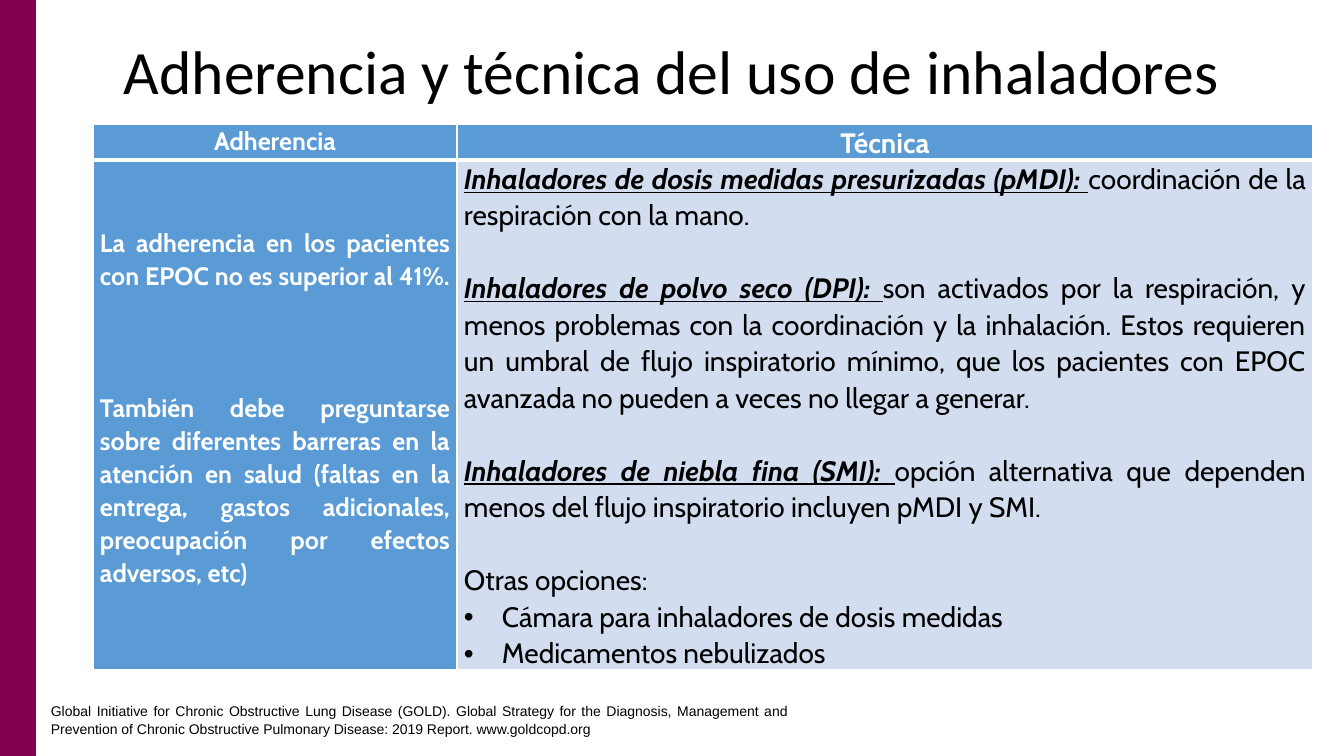
from dataclasses import dataclass, field

from lxml.etree import SubElement
from pptx import Presentation
from pptx.dml.color import RGBColor
from pptx.enum.shapes import MSO_SHAPE
from pptx.enum.text import MSO_ANCHOR, PP_ALIGN
from pptx.oxml import parse_xml
from pptx.oxml.ns import nsdecls, qn
from pptx.util import Emu, Pt

EMU_PER_PX = 914400 / 100.8


@dataclass(frozen=True)
class Theme:
    band: str = "830051"
    header: str = "5B9BD5"
    body: str = "D2DEEF"
    white: str = "FFFFFF"
    black: str = "000000"
    title_size: int = 44
    large_size: int = 20
    medium_size: int = 18
    source_size: int = 10
    title_font: str = "Calibri"
    table_font: str = "Cabin"
    source_font: str = "Arial"


THEME = Theme()
LEAD = {"bold": True, "italic": True, "underline": True}
BOLD = {"bold": True}
PLAIN = {"bold": False}


@dataclass(frozen=True)
class TextRun:
    text: str
    style: dict = field(default_factory=dict)


@dataclass(frozen=True)
class TextParagraph:
    runs: list[TextRun]
    alignment: PP_ALIGN = PP_ALIGN.JUSTIFY
    space_before: int = 0
    line_spacing: float = 1.07
    bullet: bool = False


@dataclass(frozen=True)
class TextLook:
    font: str
    size: int
    color: str = THEME.black


@dataclass(frozen=True)
class TableCell:
    row: int
    column: int
    fill: str
    look: TextLook
    paragraphs: list[TextParagraph]
    margin_top: int = 0


WHITE_MEDIUM = TextLook(THEME.table_font, THEME.medium_size, THEME.white)
WHITE_LARGE = TextLook(THEME.table_font, THEME.large_size, THEME.white)
BLACK_LARGE = TextLook(THEME.table_font, THEME.large_size)


def header(text: str) -> list[TextParagraph]:
    return [TextParagraph([TextRun(text, BOLD)], PP_ALIGN.CENTER)]


def inhaler(name: str, description: str, space_before: int = 26) -> TextParagraph:
    runs = [TextRun(name + ": ", LEAD), TextRun(description, PLAIN)]
    return TextParagraph(runs, space_before=space_before)


def option(text: str) -> TextParagraph:
    return TextParagraph([TextRun(text, PLAIN)], bullet=True)


CELLS = [
    TableCell(0, 0, THEME.header, WHITE_MEDIUM, header("Adherencia")),
    TableCell(0, 1, THEME.header, WHITE_LARGE, header("Técnica")),
    TableCell(1, 0, THEME.header, WHITE_MEDIUM, [
        TextParagraph([TextRun(
            "La adherencia en los pacientes con EPOC no es superior al 41%. ", BOLD)]),
        TextParagraph([TextRun(
            "También debe preguntarse sobre diferentes barreras en la atención en salud "
            "(faltas en la entrega, gastos adicionales, preocupación por efectos adversos, "
            "etc)", BOLD)], space_before=71),
    ], margin_top=66),
    TableCell(1, 1, THEME.body, BLACK_LARGE, [
        inhaler("Inhaladores de dosis medidas presurizadas (pMDI)",
                "coordinación de la respiración con la mano.", space_before=0),
        inhaler("Inhaladores de polvo seco (DPI)",
                "son activados por la respiración, y menos problemas con la coordinación y la "
                "inhalación. Estos requieren un umbral de flujo inspiratorio mínimo, que los "
                "pacientes con EPOC avanzada no pueden a veces no llegar a generar."),
        inhaler("Inhaladores de niebla fina (SMI)",
                "opción alternativa que dependen menos del flujo inspiratorio incluyen pMDI y "
                "SMI."),
        TextParagraph([TextRun("Otras opciones:", PLAIN)], space_before=26),
        option("Cámara para inhaladores de dosis medidas"),
        option("Medicamentos nebulizados"),
    ]),
]


def px(length: int) -> Emu:
    return Emu(round(length * EMU_PER_PX))


def set_attributes(target, values: dict) -> None:
    for name, value in values.items():
        setattr(target, name, value)


def add_bullet(paragraph) -> None:
    properties = paragraph._p.get_or_add_pPr()
    properties.set("marL", str(px(38)))
    properties.set("indent", str(px(-38)))
    SubElement(properties, qn("a:buFont")).set("typeface", "Arial")
    SubElement(properties, qn("a:buChar")).set("char", "•")


def write_text(text_frame, look: TextLook, paragraphs: list[TextParagraph]) -> None:
    for index, content in enumerate(paragraphs):
        paragraph = text_frame.add_paragraph() if index else text_frame.paragraphs[0]
        set_attributes(paragraph, {
            "alignment": content.alignment,
            "line_spacing": content.line_spacing,
            "space_before": Pt(content.space_before),
        })
        if content.bullet:
            add_bullet(paragraph)
        for text_run in content.runs:
            run = paragraph.add_run()
            run.text = text_run.text
            set_attributes(run.font, {
                "name": look.font, "size": Pt(look.size), **text_run.style})
            run.font.color.rgb = RGBColor.from_string(look.color)


def add_text(slide, box: tuple[int, int, int, int], look: TextLook,
             paragraph: TextParagraph, anchor: MSO_ANCHOR) -> None:
    text_frame = slide.shapes.add_textbox(*map(px, box)).text_frame
    set_attributes(text_frame, {"word_wrap": True, "vertical_anchor": anchor})
    write_text(text_frame, look, [paragraph])


def add_borders(cell, widths: dict[str, int]) -> None:
    """Put white border lines, in points, ahead of the cell fill."""
    properties = cell._tc.get_or_add_tcPr()
    for position, (side, width) in enumerate(widths.items()):
        properties.insert(position, parse_xml(
            f'<a:ln{side} {nsdecls("a")} w="{Pt(width)}"><a:solidFill>'
            f'<a:srgbClr val="{THEME.white}"/></a:solidFill></a:ln{side}>'))


def add_inhaler_table(slide) -> None:
    column_widths, row_heights = (364, 856), (36, 510)
    table = slide.shapes.add_table(
        len(row_heights), len(column_widths), px(93), px(124),
        px(sum(column_widths)), px(sum(row_heights))).table
    set_attributes(table, {"first_row": False, "horz_banding": False})
    for column, width in zip(table.columns, column_widths):
        column.width = px(width)
    for row, height in zip(table.rows, row_heights):
        row.height = px(height)
    for content in CELLS:
        cell = table.cell(content.row, content.column)
        set_attributes(cell, {
            "margin_left": px(7), "margin_right": px(7),
            "margin_top": px(content.margin_top), "margin_bottom": 0,
            "vertical_anchor": MSO_ANCHOR.TOP,
        })
        cell.fill.solid()
        cell.fill.fore_color.rgb = RGBColor.from_string(content.fill)
        is_header = content.row == 0
        add_borders(cell, {
            "L": 1, "R": 1, "T": 1 if is_header else 3, "B": 3 if is_header else 1})
        write_text(cell.text_frame, content.look, content.paragraphs)


def add_side_band(slide) -> None:
    band = slide.shapes.add_shape(MSO_SHAPE.RECTANGLE, 0, 0, px(36), px(756))
    band.shadow.inherit = False
    band.fill.solid()
    band.fill.fore_color.rgb = RGBColor.from_string(THEME.band)
    band.line.fill.background()


def main() -> None:
    presentation = Presentation()
    set_attributes(presentation, {"slide_width": px(1344), "slide_height": px(756)})
    slide = presentation.slides.add_slide(presentation.slide_layouts[6])
    add_side_band(slide)
    add_text(slide, (112, 2, 1120, 146), TextLook(THEME.title_font, THEME.title_size),
             TextParagraph([TextRun("Adherencia y técnica del uso de inhaladores")],
                           PP_ALIGN.CENTER, line_spacing=0.9), MSO_ANCHOR.MIDDLE)
    add_inhaler_table(slide)
    add_text(slide, (41, 696, 756, 45), TextLook(THEME.source_font, THEME.source_size),
             TextParagraph([TextRun(
                 "Global Initiative for Chronic Obstructive Lung Disease (GOLD). Global "
                 "Strategy for the Diagnosis, Management and Prevention of Chronic Obstructive "
                 "Pulmonary Disease: 2019 Report. www.goldcopd.org")]), MSO_ANCHOR.TOP)
    presentation.save("out.pptx")


if __name__ == "__main__":
    main()
